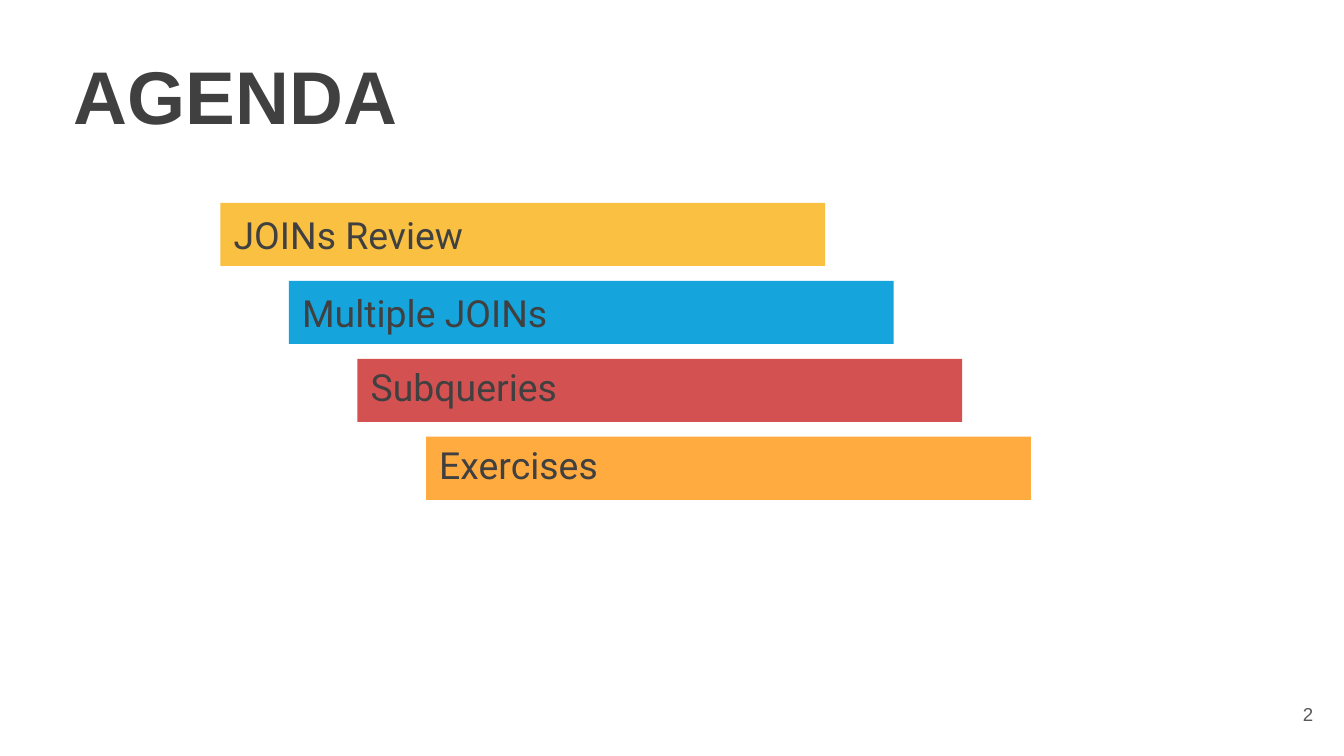
from pptx import Presentation
from pptx.dml.color import RGBColor
from pptx.enum import shapes, text
from pptx.util import Inches, Pt

DARK = RGBColor(0x40, 0x40, 0x40)
GREY = RGBColor(0x59, 0x59, 0x59)
YELLOW = RGBColor(0xF9, 0xC0, 0x42)
BLUE = RGBColor(0x16, 0xA4, 0xDD)
RED = RGBColor(0xD4, 0x51, 0x52)
ORANGE = RGBColor(0xFF, 0xAB, 0x40)

# Topic, bar colour, line spacing
AGENDA = [
    ("JOINs Review", YELLOW, 1.0),
    ("Multiple JOINs", BLUE, 1.0),
    ("Subqueries", RED, 0.8),
    ("Exercises", ORANGE, 0.8),
]


def set_text(shape, words, font, size, color, align=text.PP_ALIGN.LEFT,
             anchor=text.MSO_ANCHOR.MIDDLE, bold=False, spacing=1.0):
    """Write one formatted paragraph into a shape."""
    frame = shape.text_frame
    frame.text = words
    frame.word_wrap = True
    frame.auto_size = text.MSO_AUTO_SIZE.NONE
    frame.vertical_anchor = anchor
    frame.margin_left = frame.margin_right = Inches(0.1)
    frame.margin_top = frame.margin_bottom = Inches(0.1)
    para = frame.paragraphs[0]
    para.alignment = align
    para.line_spacing = spacing
    span = para.runs[0]
    span.font.name = font
    span.font.size = Pt(size)
    span.font.bold = bold
    span.font.color.rgb = color


def add_title(page, words):
    title = page.shapes.title
    title.left, title.top = Inches(0.45), Inches(0.27)
    title.width, title.height = Inches(9.41), Inches(0.97)
    set_text(title, words, "Arial", 40, DARK,
             anchor=text.MSO_ANCHOR.TOP, bold=True)


def add_bar(page, left, top, topic, color, spacing):
    bar = page.shapes.add_shape(
        shapes.MSO_SHAPE.RECTANGLE,
        Inches(left), Inches(top), Inches(4.5), Inches(0.47))
    bar.shadow.inherit = False
    bar.fill.solid()
    bar.fill.fore_color.rgb = color
    bar.line.fill.background()
    set_text(bar, topic, "Roboto", 20, DARK, spacing=spacing)


def add_page_number(page, number):
    box = page.shapes.add_textbox(
        Inches(9.27), Inches(5.1), Inches(0.6), Inches(0.43))
    set_text(box, number, "Arial", 10, GREY, align=text.PP_ALIGN.RIGHT)


def main():
    # Widescreen page, 16:9
    deck = Presentation()
    deck.slide_width = Inches(10)
    deck.slide_height = Inches(10 * 9 / 16)
    page = deck.slides.add_slide(deck.slide_layouts.get_by_name("Title Only"))

    add_title(page, "AGENDA")

    # Staircase of topics, each bar one step right and down
    for step, (topic, color, spacing) in enumerate(AGENDA):
        add_bar(page, 1.64 + 0.51 * step, 1.51 + 0.58 * step, topic, color, spacing)

    add_page_number(page, "2")
    deck.save("out.pptx")


if __name__ == "__main__":
    main()
